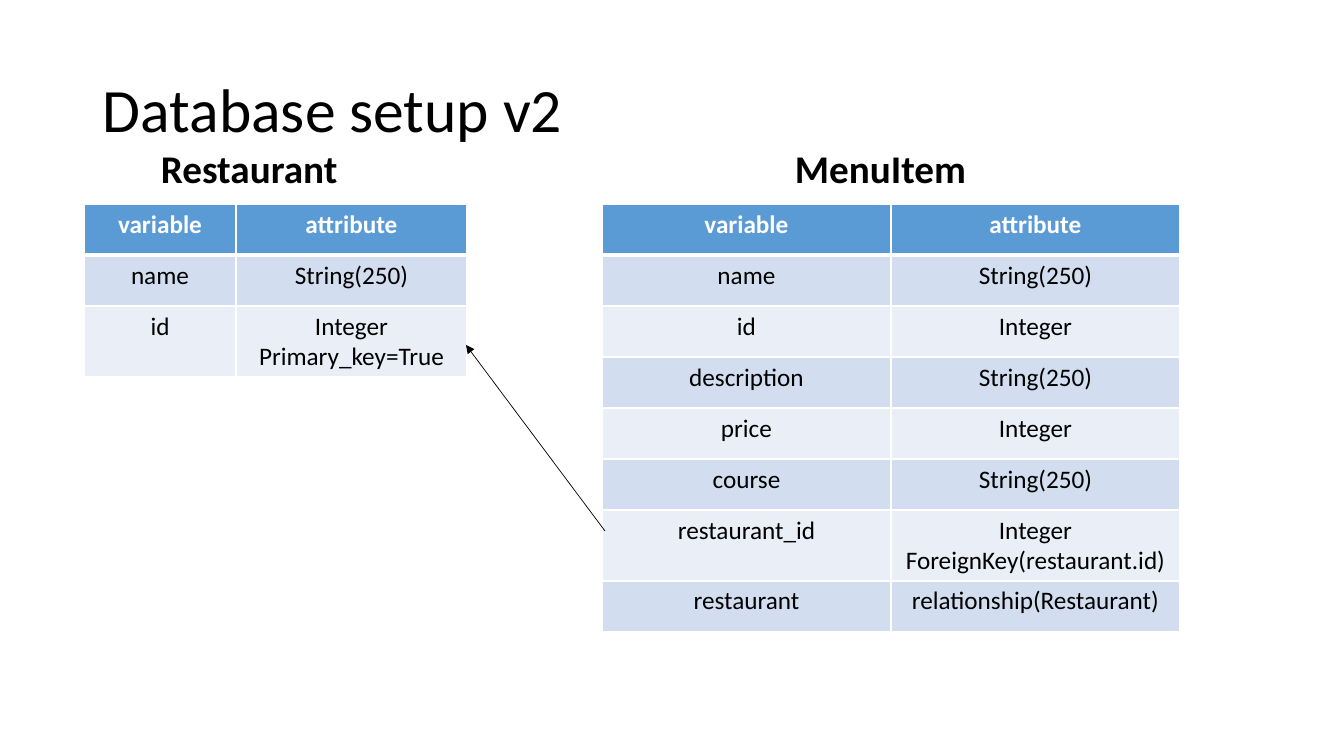
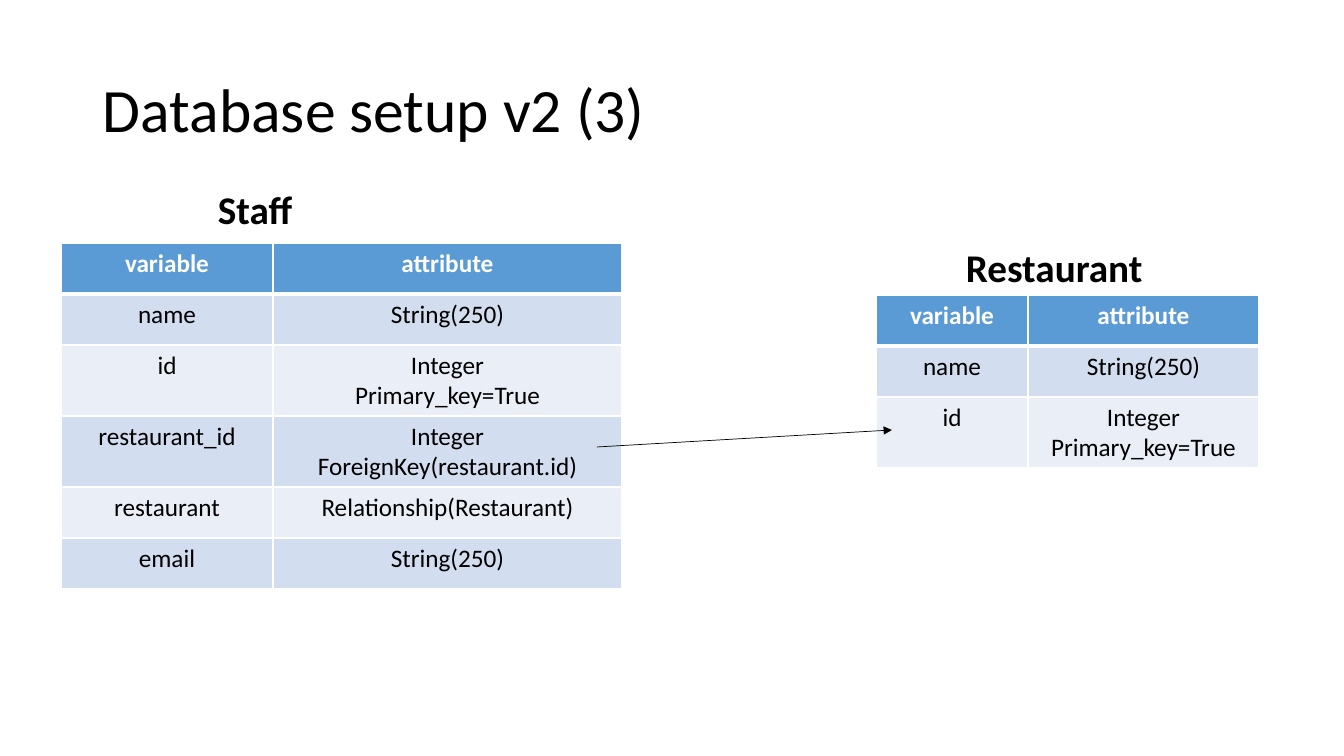
import pptx
import pptx.util
import pptx.dml.color
import pptx.enum.shapes
import pptx.enum.text
import pptx.oxml
import pptx.oxml.ns

KEY = "Integer\nPrimary_key=True"
FOREIGN_KEY = "Integer\nForeignKey(restaurant.id)"
TEXT = "String(250)"
HEADER = ("variable", "attribute")

RESTAURANT = [("name", TEXT), ("id", KEY)]
MENU_ITEM = [
    ("name", TEXT),
    ("id", "Integer"),
    ("description", TEXT),
    ("price", "Integer"),
    ("course", TEXT),
    ("restaurant_id", FOREIGN_KEY),
    ("restaurant", "relationship(Restaurant)"),
]
STAFF = [
    ("name", TEXT),
    ("id", KEY),
    ("restaurant_id", FOREIGN_KEY),
    ("restaurant", "Relationship(Restaurant)"),
    ("email", TEXT),
]

SLIDES = [
    {
        "title": "Database setup v2",
        "entities": [
            {"name": "Restaurant", "label": (151, 139), "table": (84, 204),
             "columns": (152, 231), "fields": RESTAURANT},
            {"name": "MenuItem", "label": (785, 139), "table": (602, 204),
             "columns": (289, 289), "fields": MENU_ITEM},
        ],
        "reference": ((605, 531), (466, 345)),
    },
    {
        "title": "Database setup v2 (3)",
        "entities": [
            {"name": "Staff", "label": (208, 180), "table": (61, 243),
             "columns": (212, 349), "fields": STAFF},
            {"name": "Restaurant", "label": (956, 238), "table": (876, 295),
             "columns": (152, 231), "fields": RESTAURANT},
        ],
        "reference": ((597, 447), (892, 430)),
    },
]

COLORS = {"text": "000000", "white": "FFFFFF", "header": "5B9BD5",
          "odd": "D2DEEF", "even": "EAEFF7"}
FONT = "Calibri"
SLIDE_SIZE = (1344, 756)
TITLE_BOX = (93, 40, 1159, 146)
LABEL_SIZE = (200, 57)
ROW_HEIGHT, TALL_ROW_HEIGHT = 51, 71


def px(length):
    return round(length * 914400 / 100.8)


def rgb(name):
    return pptx.dml.color.RGBColor.from_string(COLORS[name])


def style_text(frame, size, color="text", bold=False, align=None):
    for paragraph in frame.paragraphs:
        paragraph.alignment = align
        for run in paragraph.runs:
            run.font.name = FONT
            run.font.size = pptx.util.Pt(size)
            run.font.bold = bold
            run.font.color.rgb = rgb(color)


def add_text(slide, text, box, size, bold=False):
    frame = slide.shapes.add_textbox(*map(px, box)).text_frame
    frame.word_wrap = True
    frame.text = text
    style_text(frame, size, bold=bold)
    return frame


def add_title(slide, text):
    frame = add_text(slide, text, TITLE_BOX, 44)
    frame.vertical_anchor = pptx.enum.text.MSO_ANCHOR.MIDDLE
    frame.paragraphs[0].line_spacing = 0.9


def set_borders(cell, row):
    widths = {"L": 1, "R": 1, "T": 3 if row == 1 else 1, "B": 3 if row == 0 else 1}
    properties = cell._tc.get_or_add_tcPr()
    for side, width in widths.items():
        properties.append(pptx.oxml.parse_xml(
            f'<a:ln{side} {pptx.oxml.ns.nsdecls("a")} w="{pptx.util.Pt(width)}">'
            f'<a:solidFill><a:srgbClr val="{COLORS["white"]}"/></a:solidFill></a:ln{side}>'))


def add_entity(slide, entity):
    add_text(slide, entity["name"], entity["label"] + LABEL_SIZE, 28, bold=True)
    rows = [HEADER] + entity["fields"]
    heights = [TALL_ROW_HEIGHT if "\n" in attribute else ROW_HEIGHT for _, attribute in rows]
    columns = entity["columns"]
    box = entity["table"] + (sum(columns), sum(heights))
    table = slide.shapes.add_table(len(rows), len(columns), *map(px, box)).table
    table.first_row = table.horz_banding = False
    for column, width in zip(table.columns, columns):
        column.width = px(width)
    for r, (values, height) in enumerate(zip(rows, heights)):
        table.rows[r].height = px(height)
        fill = "header" if r == 0 else "odd" if r % 2 else "even"
        for c, value in enumerate(values):
            cell = table.cell(r, c)
            set_borders(cell, r)
            cell.fill.solid()
            cell.fill.fore_color.rgb = rgb(fill)
            cell.text_frame.text = value
            style_text(cell.text_frame, 18, "white" if r == 0 else "text",
                       bold=r == 0, align=pptx.enum.text.PP_ALIGN.CENTER)


def add_reference(slide, start, end):
    arrow = slide.shapes.add_connector(
        pptx.enum.shapes.MSO_CONNECTOR.STRAIGHT, *map(px, start + end))
    arrow.line.color.rgb = rgb("text")
    arrow.line.width = pptx.util.Pt(0.5)
    namespace = pptx.oxml.ns.nsdecls("a")
    arrow.line._get_or_add_ln().append(
        pptx.oxml.parse_xml(f'<a:tailEnd {namespace} type="triangle"/>'))
    arrow._element.spPr.append(pptx.oxml.parse_xml(f"<a:effectLst {namespace}/>"))


deck = pptx.Presentation()
deck.slide_width, deck.slide_height = map(px, SLIDE_SIZE)
for content in SLIDES:
    slide = deck.slides.add_slide(deck.slide_layouts[6])
    add_title(slide, content["title"])
    for entity in content["entities"]:
        add_entity(slide, entity)
    add_reference(slide, *content["reference"])
deck.save("out.pptx")
